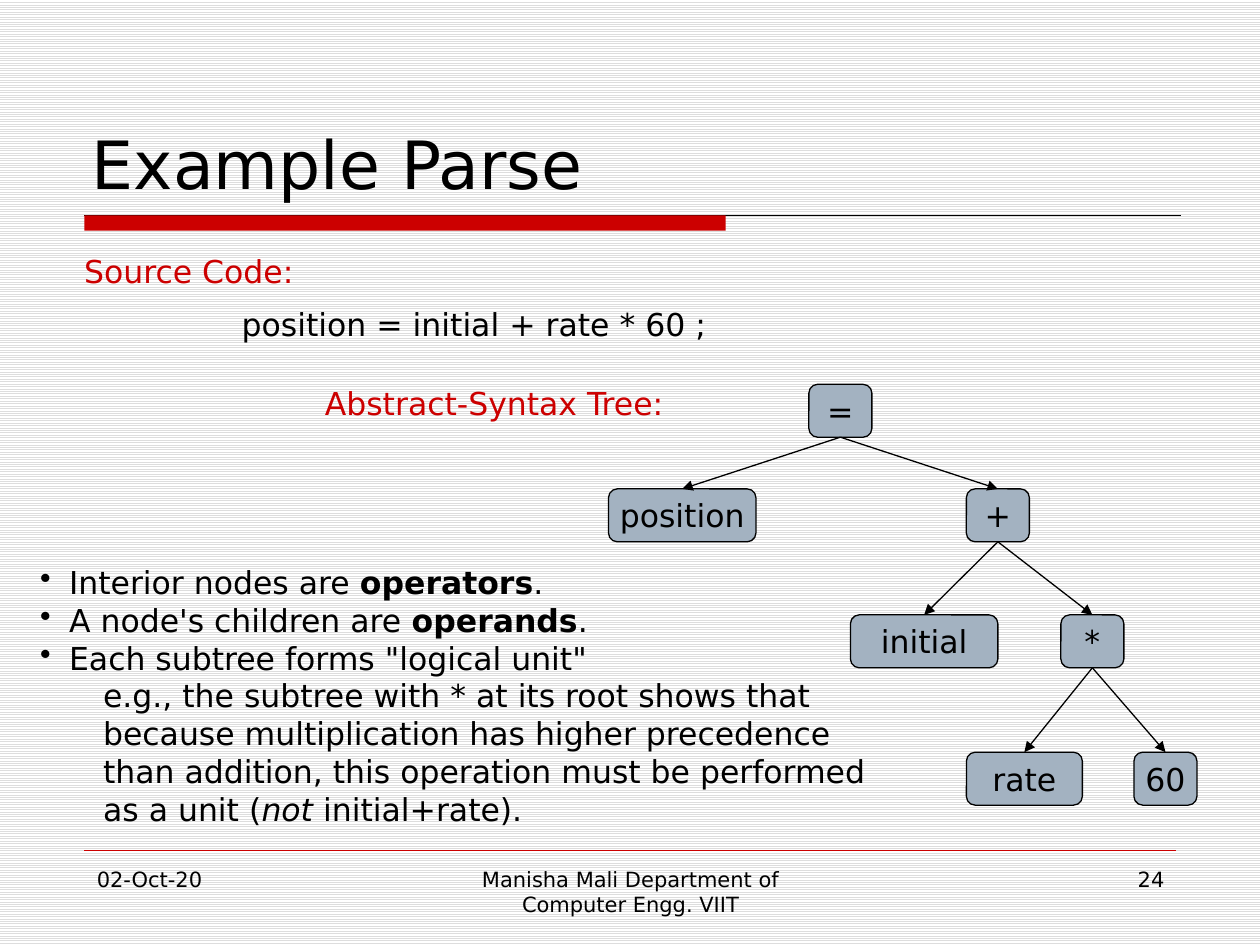
from dataclasses import dataclass

from lxml import etree
from pptx import Presentation
from pptx.dml.color import RGBColor
from pptx.enum.dml import MSO_PATTERN
from pptx.enum.shapes import MSO_CONNECTOR, MSO_SHAPE
from pptx.enum.text import MSO_ANCHOR, MSO_AUTO_SIZE, PP_ALIGN
from pptx.oxml.ns import qn
from pptx.util import Inches, Pt

STRIPES = MSO_PATTERN.LIGHT_HORIZONTAL
STRAIGHT = MSO_CONNECTOR.STRAIGHT
RECTANGLE, ROUNDED = MSO_SHAPE.RECTANGLE, MSO_SHAPE.ROUNDED_RECTANGLE
TOP, MIDDLE, BOTTOM = MSO_ANCHOR.TOP, MSO_ANCHOR.MIDDLE, MSO_ANCHOR.BOTTOM
LEFT, CENTER, RIGHT = PP_ALIGN.LEFT, PP_ALIGN.CENTER, PP_ALIGN.RIGHT
FIT_SHAPE = MSO_AUTO_SIZE.SHAPE_TO_FIT_TEXT
TOP_SITE, BOTTOM_SITE = 0, 2


@dataclass(frozen=True)
class Theme:
    font: str = "DejaVu Sans"
    ink: RGBColor = RGBColor(0x00, 0x00, 0x00)
    accent: RGBColor = RGBColor(0xCC, 0x00, 0x00)
    node: RGBColor = RGBColor(0xA3, 0xB2, 0xC1)
    stripe: RGBColor = RGBColor(0xDD, 0xDD, 0xDD)
    paper: RGBColor = RGBColor(0xFF, 0xFF, 0xFF)
    title: float = 38
    body: float = 18
    footer: float = 12
    line: float = 0.75
    hairline: float = 0.25


THEME = Theme()

NODES = {
    "=": (1.59, 0, 0.5),
    "position": (0, 0.83, 1.17),
    "+": (2.84, 0.83, 0.5),
    "initial": (1.92, 1.83, 1.17),
    "*": (3.59, 1.83, 0.5),
    "rate": (2.84, 2.92, 0.92),
    "60": (4.17, 2.92, 0.5),
}
EDGES = [("=", "position"), ("=", "+"), ("+", "initial"),
         ("+", "*"), ("*", "rate"), ("*", "60")]
NODE_HEIGHT = 0.42

POINTS = [
    [("Interior nodes are ", ""), ("operators", "bold"), (".", "")],
    [("A node's children are ", ""), ("operands", "bold"), (".", "")],
    [("Each subtree forms \"logical unit\"", "")],
]
EXAMPLE = [
    [("e.g., the subtree with * at its root shows that", "")],
    [("because multiplication has higher precedence", "")],
    [("than addition, this operation must be performed", "")],
    [("as a unit (", ""), ("not", "italic"), (" initial+rate).", "")],
]


def add_span(para, text, size, color, style=""):
    span = para.add_run()
    span.text = text
    span.font.name = THEME.font
    span.font.size = Pt(size)
    span.font.color.rgb = color
    if style == "bold":
        span.font.bold = True
    if style == "italic":
        span.font.italic = True


def add_text_box(page, box, wrap, anchor=TOP):
    frame = page.shapes.add_textbox(*map(Inches, box)).text_frame
    frame.word_wrap = wrap
    frame.vertical_anchor = anchor
    if not wrap:
        frame.auto_size = FIT_SHAPE
    return frame


def add_label(page, box, text, size, color, wrap=False, anchor=TOP, align=LEFT):
    para = add_text_box(page, box, wrap, anchor).paragraphs[0]
    para.alignment = align
    add_span(para, text, size, color)


def add_line(page, start, end, color, width):
    line = page.shapes.add_connector(STRAIGHT, *map(Inches, start + end))
    line.line.color.rgb = color
    line.line.width = Pt(width)
    etree.SubElement(line._element.spPr, qn("a:effectLst"))
    return line


def add_heading(page, box):
    left, top, width, height = box
    add_label(page, (left - 0.04, top, width + 0.05, height), "Example Parse",
              THEME.title, THEME.ink, wrap=True, anchor=BOTTOM)
    rule = top + height + 0.05
    add_line(page, (left, rule), (left + width, rule), THEME.ink, THEME.line)
    bar = page.shapes.add_shape(
        RECTANGLE, *map(Inches, (left, rule, 5.09, 0.12)))
    bar.shadow.inherit = False
    bar.fill.solid()
    bar.fill.fore_color.rgb = THEME.accent
    bar.line.fill.background()


def add_source(page, box):
    left, top, width, height = box
    add_label(page, (left, top, 1.9, height), "Source Code:",
              THEME.body, THEME.accent)
    add_label(page, (left + 1.25, top + 0.42, width - 1.25, height),
              "position = initial + rate * 60 ;", THEME.body, THEME.ink)


def add_node(page, text, box):
    node = page.shapes.add_shape(ROUNDED, *map(Inches, box))
    node.shadow.inherit = False
    node.fill.solid()
    node.fill.fore_color.rgb = THEME.node
    node.line.color.rgb = THEME.ink
    node.line.width = Pt(THEME.line)
    frame = node.text_frame
    frame.word_wrap = False
    frame.vertical_anchor = MIDDLE
    para = frame.paragraphs[0]
    para.alignment = CENTER
    add_span(para, text, THEME.body, THEME.ink)
    return node


def add_tree(page, origin):
    left, top = origin
    add_label(page, (left - 2.35, top - 0.05, 2.99, 0.4),
              "Abstract-Syntax Tree:", THEME.body, THEME.accent)
    nodes = {
        text: add_node(page, text, (left + x, top + y, width, NODE_HEIGHT))
        for text, (x, y, width) in NODES.items()
    }
    for parent, child in EDGES:
        edge = add_line(page, (left, top), (left, top), THEME.ink, THEME.line)
        edge.begin_connect(nodes[parent], BOTTOM_SITE)
        edge.end_connect(nodes[child], TOP_SITE)
        etree.SubElement(edge.line._get_or_add_ln(), qn("a:tailEnd"),
                         type="triangle", w="med", len="med")


def add_notes_on_tree(page, box):
    frame = add_text_box(page, box, wrap=False)
    for index, spans in enumerate(POINTS + EXAMPLE):
        para = frame.paragraphs[0] if index == 0 else frame.add_paragraph()
        bulleted = index < len(POINTS)
        margin, indent = (0.23, -0.23) if bulleted else (0.5, 0)
        props = para._p.get_or_add_pPr()
        props.set("marL", str(Inches(margin)))
        props.set("indent", str(Inches(indent)))
        if bulleted:
            etree.SubElement(props, qn("a:buChar"), char="•")
        else:
            para.level = 1
            etree.SubElement(props, qn("a:buNone"))
        for text, style in spans:
            add_span(para, text, THEME.body, THEME.ink, style)


def add_footer(page, box):
    left, top, width, height = box
    add_line(page, (left, top), (left + width, top),
             THEME.accent, THEME.hairline)
    parts = [
        (0, 2.17, "02-Oct-20", LEFT),
        (2.75, 3.17, "Manisha Mali Department of Computer Engg. VIIT", CENTER),
        (6.5, 2.17, "24", RIGHT),
    ]
    for offset, part_width, text, align in parts:
        add_label(page, (left + offset, top + 0.08, part_width, height - 0.08),
                  text, THEME.footer, THEME.ink, wrap=True, align=align)


def main():
    deck = Presentation()
    deck.slide_width, deck.slide_height = Inches(10), Inches(7.5)
    page = deck.slides.add_slide(deck.slide_layouts[6])
    fill = page.background.fill
    fill.patterned()
    fill.pattern = STRIPES
    fill.fore_color.rgb = THEME.stripe
    fill.back_color.rgb = THEME.paper
    add_heading(page, (0.67, 0.33, 8.7, 1.33))
    add_source(page, (0.57, 1.95, 5.33, 0.4))
    add_tree(page, (4.83, 3.05))
    add_notes_on_tree(page, (0.22, 4.42, 6.78, 2.2))
    add_footer(page, (0.67, 6.75, 8.66, 0.6))
    deck.save("out.pptx")


if __name__ == "__main__":
    main()
